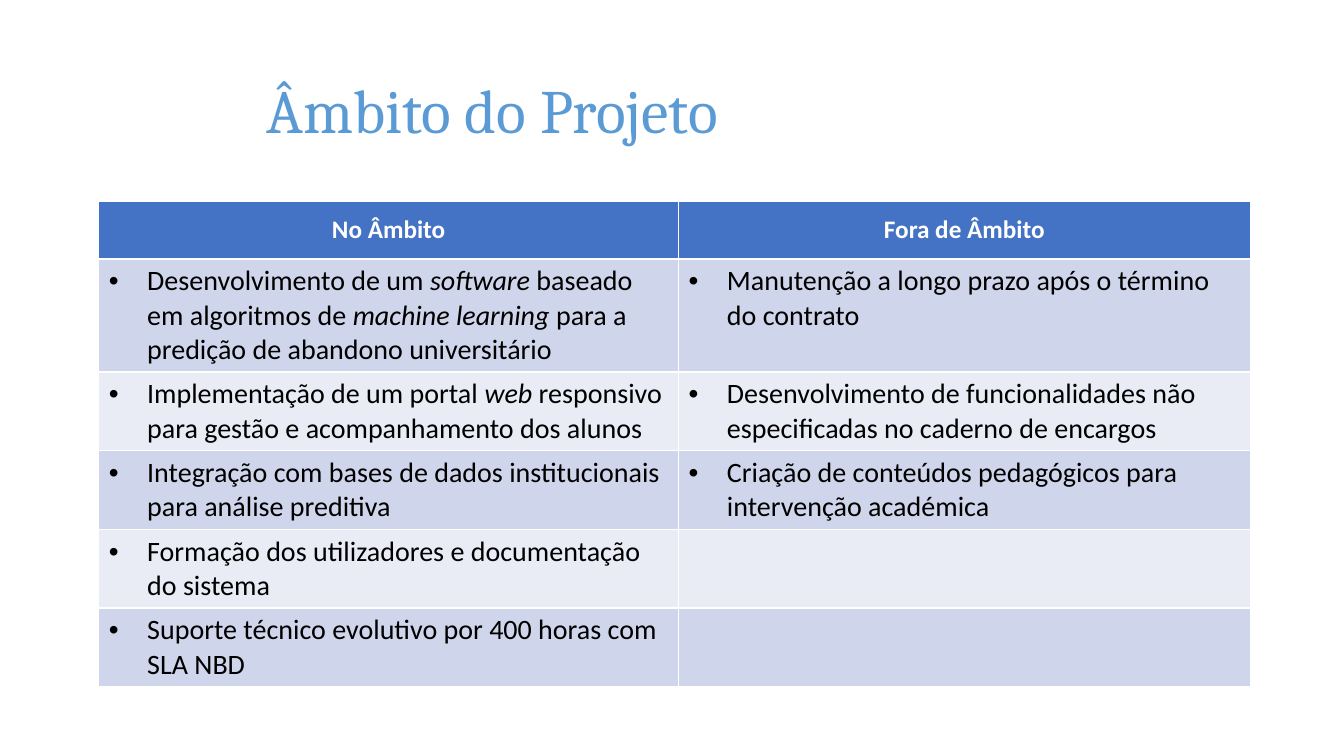
from dataclasses import dataclass

from lxml.etree import SubElement
from pptx import Presentation
from pptx.dml.color import RGBColor
from pptx.enum.text import MSO_ANCHOR, PP_ALIGN
from pptx.oxml.ns import qn
from pptx.util import Inches, Pt

TITLE = "Âmbito do Projeto"
HEADINGS = ("No Âmbito", "Fora de Âmbito")
# Asterisks enclose words set in italics.
IN_SCOPE = [
    "Desenvolvimento de um *software* baseado em algoritmos de "
    "*machine learning* para a predição de abandono universitário",
    "Implementação de um portal *web* responsivo para gestão e acompanhamento dos alunos",
    "Integração com bases de dados institucionais para análise preditiva",
    "Formação dos utilizadores e documentação do sistema",
    "Suporte técnico evolutivo por 400 horas com SLA NBD",
]
OUT_OF_SCOPE = [
    "Manutenção a longo prazo após o término do contrato",
    "Desenvolvimento de funcionalidades não especificadas no caderno de encargos",
    "Criação de conteúdos pedagógicos para intervenção académica",
]

SLIDE_SIZE = (13.33, 7.5)
TITLE_BOX = {"left": 2.54, "top": 0.4, "width": 9.88, "height": 1.45}
TABLE_ORIGIN = (0.98, 2)
COLUMN_WIDTHS = (5.75, 5.67)
ROW_HEIGHT = 0.57
BULLET_INDENT = 0.38


@dataclass(frozen=True)
class Theme:
    title_font: str = "Cambria"
    body_font: str = "Calibri"
    title_size: int = 44
    heading_size: int = 18
    item_size: int = 20
    title_color: str = "5B9BD5"
    heading_color: str = "FFFFFF"
    item_color: str = "000000"
    heading_fill: str = "4472C4"
    bands: tuple = ("CFD5EA", "E9EBF5")


THEME = Theme()


def write(paragraph, marked_text, color, **font_format):
    """Add runs to the paragraph, with every second piece between asterisks in italics."""
    for position, piece in enumerate(marked_text.split("*")):
        run = paragraph.add_run()
        run.text = piece
        run.font.color.rgb = RGBColor.from_string(color)
        for attribute, value in font_format.items():
            setattr(run.font, attribute, value)
        if position % 2:
            run.font.italic = True


def add_bullet(paragraph):
    properties = paragraph._p.get_or_add_pPr()
    indent = Inches(BULLET_INDENT)
    properties.set("marL", str(indent))
    properties.set("indent", str(-indent))
    SubElement(properties, qn("a:buFont"), typeface="Arial")
    SubElement(properties, qn("a:buChar"), char="•")


def fill_cell(cell, color):
    cell.fill.solid()
    cell.fill.fore_color.rgb = RGBColor.from_string(color)


def add_title(slide):
    title = slide.shapes.title
    for side, length in TITLE_BOX.items():
        setattr(title, side, Inches(length))
    title.text_frame.vertical_anchor = MSO_ANCHOR.MIDDLE
    paragraph = title.text_frame.paragraphs[0]
    paragraph.alignment = PP_ALIGN.LEFT
    paragraph.line_spacing = 0.9
    write(paragraph, TITLE, THEME.title_color,
          name=THEME.title_font, size=Pt(THEME.title_size))


def add_scope_table(slide):
    row_count = 1 + max(len(IN_SCOPE), len(OUT_OF_SCOPE))
    left, top = map(Inches, TABLE_ORIGIN)
    scope = slide.shapes.add_table(
        row_count, len(HEADINGS), left, top,
        Inches(sum(COLUMN_WIDTHS)), Inches(row_count * ROW_HEIGHT)).table
    for column, width in zip(scope.columns, COLUMN_WIDTHS):
        column.width = Inches(width)

    for column, (heading, items) in enumerate(zip(HEADINGS, (IN_SCOPE, OUT_OF_SCOPE))):
        header = scope.cell(0, column)
        fill_cell(header, THEME.heading_fill)
        header.vertical_anchor = MSO_ANCHOR.MIDDLE
        paragraph = header.text_frame.paragraphs[0]
        paragraph.alignment = PP_ALIGN.CENTER
        write(paragraph, heading, THEME.heading_color, name=THEME.body_font,
              size=Pt(THEME.heading_size), bold=True)

        for row in range(1, row_count):
            fill_cell(scope.cell(row, column), THEME.bands[(row - 1) % 2])
        for row, item in enumerate(items, start=1):
            paragraph = scope.cell(row, column).text_frame.paragraphs[0]
            add_bullet(paragraph)
            write(paragraph, item, THEME.item_color, name=THEME.body_font,
                  size=Pt(THEME.item_size))


def main():
    deck = Presentation()
    deck.slide_width, deck.slide_height = map(Inches, SLIDE_SIZE)
    slide = deck.slides.add_slide(deck.slide_layouts.get_by_name("Title Only"))
    add_scope_table(slide)
    add_title(slide)
    deck.save("out.pptx")


if __name__ == "__main__":
    main()
